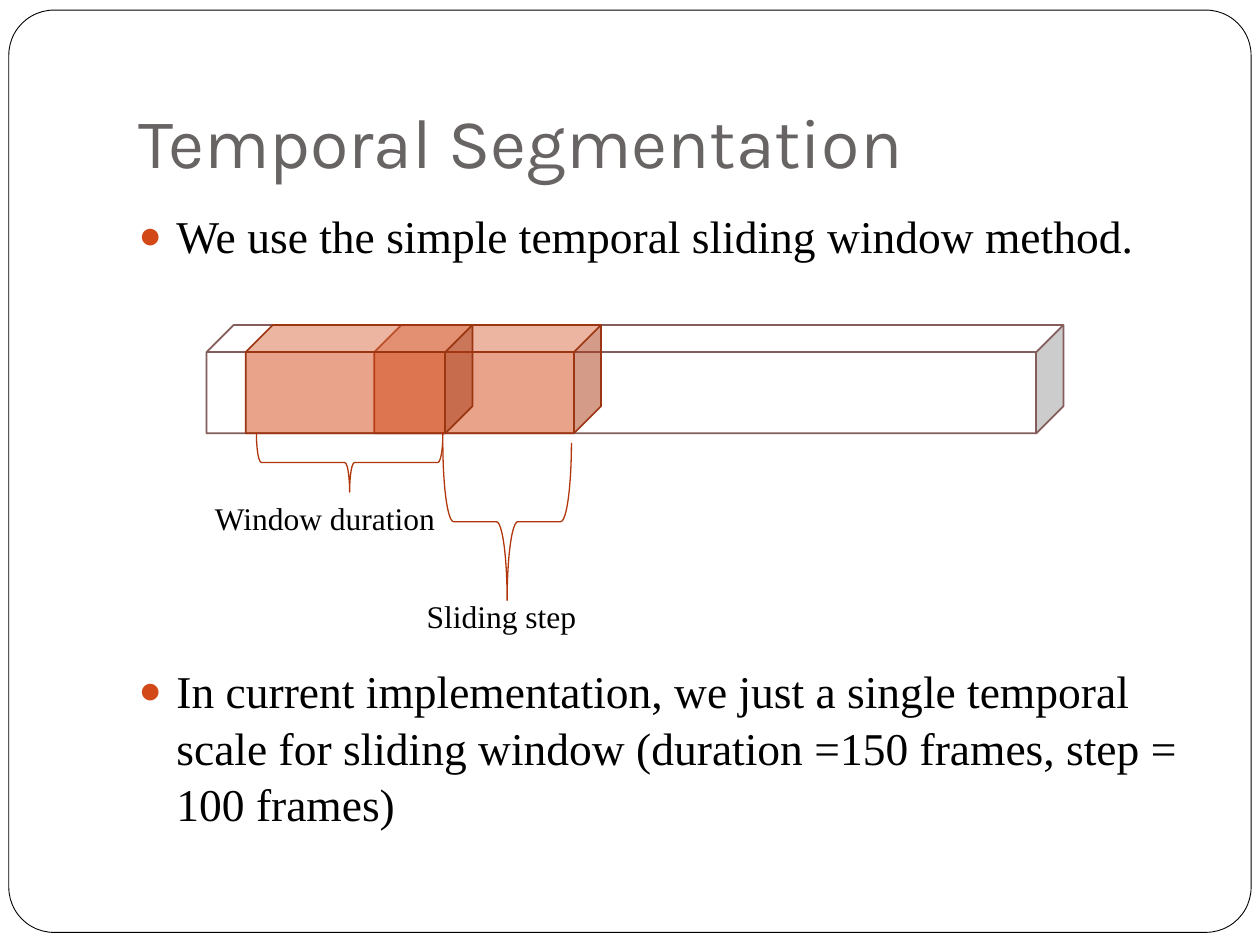
from dataclasses import dataclass
from typing import Optional

from lxml.etree import SubElement
from pptx import Presentation
from pptx.dml.color import RGBColor
from pptx.enum.shapes import MSO_SHAPE as Preset
from pptx.enum.text import MSO_ANCHOR as Anchor, MSO_AUTO_SIZE as AutoSize, PP_ALIGN as Align
from pptx.oxml.ns import qn
from pptx.util import Inches, Pt

BLACK = RGBColor(0x00, 0x00, 0x00)
WHITE = RGBColor(0xFF, 0xFF, 0xFF)
GREY = RGBColor(0x69, 0x64, 0x64)
ORANGE = RGBColor(0xD3, 0x48, 0x17)
WINDOW_EDGE = RGBColor(0x9C, 0x35, 0x11)
BRACE_EDGE = RGBColor(0xB1, 0x36, 0x0B)
VIDEO_EDGE = RGBColor(0x85, 0x5D, 0x5D)
TITLE_FONT, TEXT_FONT = "Karla", "Times New Roman"
CUBE_TOP, CUBE_HEIGHT = 2.58, 0.86
WINDOW_WIDTH, WINDOW_STEP, FIRST_WINDOW = 1.8, 1.02, 1.95


@dataclass
class Figure:
    preset: Preset
    left: float
    top: float
    width: float
    height: float
    edge: RGBColor
    weight: float = 1
    fill: Optional[RGBColor] = None
    opacity: int = 100
    rotation: float = 0


@dataclass
class Label:
    wording: str
    left: float
    top: float


def window(number: int) -> Figure:
    return Figure(Preset.CUBE, FIRST_WINDOW + number * WINDOW_STEP, CUBE_TOP,
                  WINDOW_WIDTH, CUBE_HEIGHT, WINDOW_EDGE, fill=ORANGE, opacity=50)


def brace(left: float, top: float, width: float, height: float) -> Figure:
    return Figure(Preset.LEFT_BRACE, left, top, width, height, BRACE_EDGE, 0.75, rotation=270)


def place(holder, left: float, top: float, width: float, height: float) -> None:
    holder.left, holder.top = Inches(left), Inches(top)
    holder.width, holder.height = Inches(width), Inches(height)


def draw_figure(slide, figure: Figure):
    shape = slide.shapes.add_shape(figure.preset, Inches(figure.left), Inches(figure.top),
                                   Inches(figure.width), Inches(figure.height))
    shape.shadow.inherit = False
    shape.rotation = figure.rotation
    shape.line.color.rgb = figure.edge
    shape.line.width = Pt(figure.weight)
    if figure.fill is None:
        shape.fill.background()
    else:
        shape.fill.solid()
        shape.fill.fore_color.rgb = figure.fill
        if figure.opacity < 100:
            color = shape.fill._xPr.find(f"{qn('a:solidFill')}/{qn('a:srgbClr')}")
            SubElement(color, qn("a:alpha"), val=str(figure.opacity * 1000))
    return shape


def write(paragraph, wording: str, size: float, name: str = TEXT_FONT,
          color: RGBColor = BLACK) -> None:
    run = paragraph.add_run()
    run.text = wording
    for attribute, value in {"size": Pt(size), "name": name}.items():
        setattr(run.font, attribute, value)
    run.font.color.rgb = color


def add_bullet(paragraph) -> None:
    properties = paragraph._p.get_or_add_pPr()
    properties.set("marL", str(Inches(0.3)))
    properties.set("indent", str(-Inches(0.3)))
    color = SubElement(properties, qn("a:buClr"))
    SubElement(color, qn("a:srgbClr"), val=str(ORANGE))
    SubElement(properties, qn("a:buSzPct"), val="85000")
    SubElement(properties, qn("a:buChar"), char="●")


def draw_label(slide, label: Label) -> None:
    box = slide.shapes.add_textbox(Inches(label.left), Inches(label.top),
                                   Inches(2.34), Inches(0.4))
    box.text_frame.word_wrap = True
    box.text_frame.auto_size = AutoSize.SHAPE_TO_FIT_TEXT
    paragraph = box.text_frame.paragraphs[0]
    paragraph.alignment = Align.CENTER
    write(paragraph, label.wording, 18)


# Each point with the space before it; the wide one leaves room for the diagram
POINTS = [
    ("We use the simple temporal sliding window method.", 5.8),
    ("In current implementation, we just a single temporal scale for sliding window "
     "(duration =150 frames, step = 100 frames)", 227.8),
]
DIAGRAM = [
    Figure(Preset.CUBE, 1.64, CUBE_TOP, 6.8, CUBE_HEIGHT, VIDEO_EDGE, fill=WHITE),
    window(1),
    window(0),
    brace(2.54, 2.93, 0.47, 1.48),
    brace(3.4, 3.63, 1.25, WINDOW_STEP),
]
LABELS = [Label("Window duration", 1.41, 3.91), Label("Sliding step", 2.81, 4.69)]


def main() -> None:
    deck = Presentation()
    deck.slide_width, deck.slide_height = Inches(10), Inches(7.5)
    slide = deck.slides.add_slide(deck.slide_layouts[1])
    title, body = slide.placeholders

    # Rounded frame, behind everything
    frame = draw_figure(slide, Figure(Preset.ROUNDED_RECTANGLE, 0.07, 0.08, 9.86, 7.32,
                                      BLACK, 0.5, WHITE))
    frame.adjustments[0] = 0.049
    title._element.addprevious(frame._element)

    # Title
    place(title, 1, 0.3, 8.5, 1.25)
    title_format = {"vertical_anchor": Anchor.BOTTOM, "margin_bottom": Inches(0.1),
                    "auto_size": AutoSize.NONE}
    for attribute, value in title_format.items():
        setattr(title.text_frame, attribute, value)
    heading = title.text_frame.paragraphs[0]
    heading.alignment = Align.LEFT
    write(heading, "Temporal Segmentation", 40, TITLE_FONT, GREY)

    # Bulleted points
    place(body, 1, 1.58, 8.5, 5)
    body.text_frame.auto_size = AutoSize.NONE
    for number, (wording, space) in enumerate(POINTS):
        point = body.text_frame.add_paragraph() if number else body.text_frame.paragraphs[0]
        point.space_before = Pt(space)
        point.line_spacing = 1.04
        add_bullet(point)
        write(point, wording, 26)

    # Sliding window diagram
    for figure in DIAGRAM:
        draw_figure(slide, figure)
    for label in LABELS:
        draw_label(slide, label)

    deck.save("out.pptx")


if __name__ == "__main__":
    main()
